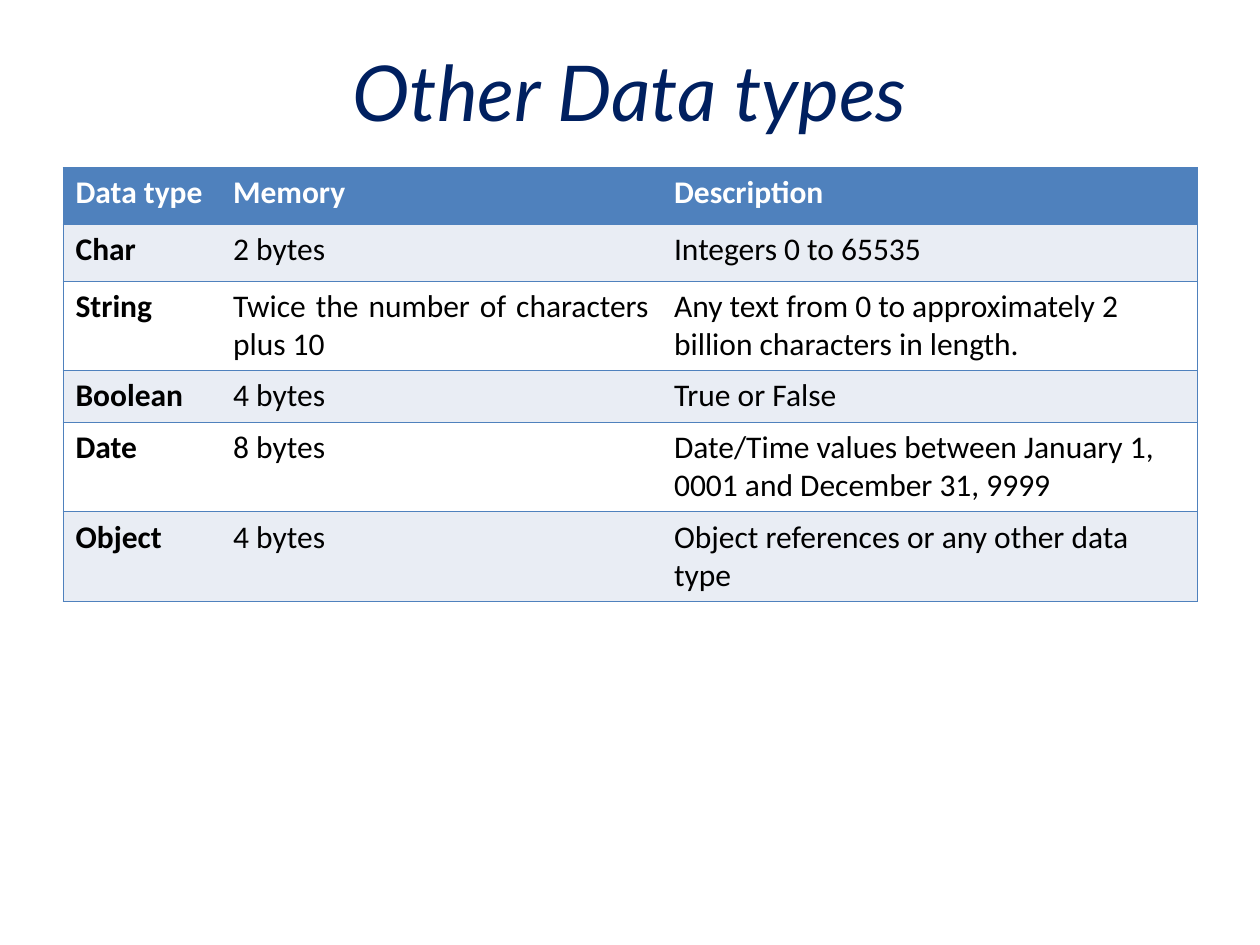
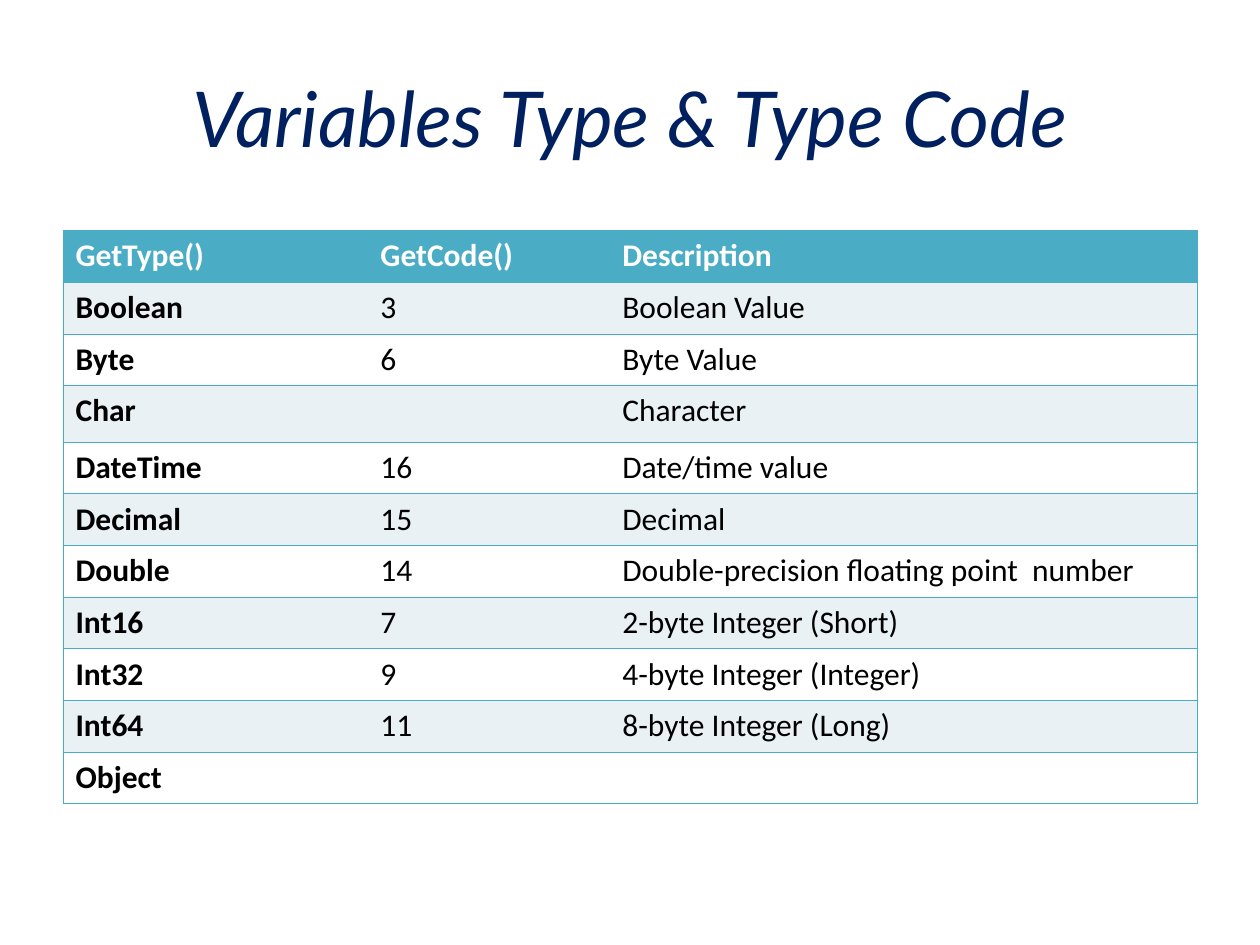
"""Build two slides that list data types and type codes in tables."""
from lxml import etree
from pptx import Presentation
from pptx.dml.color import RGBColor
from pptx.enum.text import MSO_ANCHOR, PP_ALIGN
from pptx.oxml.ns import qn
from pptx.util import Inches, Pt

TOP, MIDDLE = MSO_ANCHOR.TOP, MSO_ANCHOR.MIDDLE
LEFT, CENTER, JUSTIFY = PP_ALIGN.LEFT, PP_ALIGN.CENTER, PP_ALIGN.JUSTIFY
TITLE_ONLY = 5

COLORS = {
    "title": "002060",
    "header_text": "FFFFFF",
    "body_text": "000000",
    "plain_row": "FFFFFF",
    "blue": "4F81BD",
    "blue_band": "E9EDF4",
    "teal": "4BACC6",
    "teal_band": "E9F1F5",
}

SLIDE_WIDTH, SLIDE_HEIGHT = Inches(10), Inches(7.5)
MARGIN = int(SLIDE_WIDTH * 0.05)
CONTENT_WIDTH = SLIDE_WIDTH - 2 * MARGIN
TITLE_TOP, TITLE_HEIGHT = int(SLIDE_HEIGHT * 0.04), Inches(1.25)
BORDER_WIDTH = Pt(0.45)
SINGLE_ROW, TALL_ROW, DOUBLE_ROW = 0.41, 0.45, 0.7

DATA_TYPES = [
    ("Data type", "Memory", "Description"),
    ("Char", "2 bytes", "Integers 0 to 65535"),
    ("String", "Twice the number of characters plus 10",
     "Any text from 0 to approximately 2 billion characters in length."),
    ("Boolean", "4 bytes", "True or False"),
    ("Date", "8 bytes",
     "Date/Time values between January 1, 0001 and December 31, 9999"),
    ("Object", "4 bytes", "Object references or any other data type"),
]
DATA_TYPE_HEIGHTS = [TALL_ROW, TALL_ROW, DOUBLE_ROW, SINGLE_ROW, DOUBLE_ROW, DOUBLE_ROW]

TYPE_CODES = [
    ("GetType()", "GetCode()", "Description"),
    ("Boolean", "3", "Boolean Value"),
    ("Byte", "6", "Byte Value"),
    ("Char", "", "Character"),
    ("DateTime", "16", "Date/time value"),
    ("Decimal", "15", "Decimal"),
    ("Double", "14", "Double-precision floating point  number"),
    ("Int16", "7", "2-byte Integer (Short)"),
    ("Int32", "9", "4-byte Integer (Integer)"),
    ("Int64", "11", "8-byte Integer (Long)"),
    ("Object", "", ""),
]
TYPE_CODE_HEIGHTS = [TALL_ROW if row[0] == "Char" else SINGLE_ROW for row in TYPE_CODES]


def rgb(name):
    """Return the named palette colour."""
    return RGBColor.from_string(COLORS[name])


def write_text(frame, text, *, color, font="Calibri", size=18, bold=False,
               italic=False, align=LEFT):
    """Put one formatted paragraph into a text frame."""
    paragraph = frame.paragraphs[0]
    paragraph.alignment = align
    if not text:
        return
    run = paragraph.add_run()
    run.text = text
    run.font.name = font
    run.font.size = Pt(size)
    run.font.bold = bold
    run.font.italic = italic
    run.font.color.rgb = rgb(color)


def add_titled_slide(deck, title, anchor):
    """Add a slide and format its title placeholder."""
    slide = deck.slides.add_slide(deck.slide_layouts[TITLE_ONLY])
    heading = slide.shapes.title
    heading.left, heading.top = MARGIN, TITLE_TOP
    heading.width, heading.height = CONTENT_WIDTH, TITLE_HEIGHT
    heading.text_frame.vertical_anchor = anchor
    write_text(heading.text_frame, title, color="title", font="Lato", size=44,
               italic=True, align=CENTER)
    return slide


def set_borders(cell, accent, visible_sides):
    """Draw the visible sides of a cell and clear the others."""
    properties = cell._tc.get_or_add_tcPr()
    for side in "LRTB":
        line = etree.SubElement(properties, qn(f"a:ln{side}"), w=str(BORDER_WIDTH))
        if side in visible_sides:
            fill = etree.SubElement(line, qn("a:solidFill"))
            etree.SubElement(fill, qn("a:srgbClr"), val=COLORS[accent])
        else:
            etree.SubElement(line, qn("a:noFill"))


def add_type_table(slide, rows, *, top, widths, heights, accent, justified=()):
    """Add a banded table with a header row and bold first column."""
    last_column = len(widths) - 1
    table = slide.shapes.add_table(
        len(rows), len(widths), MARGIN, Inches(top), CONTENT_WIDTH, Inches(sum(heights))
    ).table
    for column, width in zip(table.columns, widths):
        column.width = int(CONTENT_WIDTH * width / sum(widths))
    for r, (values, height) in enumerate(zip(rows, heights)):
        table.rows[r].height = Inches(height)
        is_header = r == 0
        row_fill = accent if is_header else f"{accent}_band" if r % 2 else "plain_row"
        for c, value in enumerate(values):
            cell = table.cell(r, c)
            sides = "TB" + ("L" if c == 0 else "") + ("R" if c == last_column else "")
            set_borders(cell, accent, sides)
            cell.fill.solid()
            cell.fill.fore_color.rgb = rgb(row_fill)
            write_text(cell.text_frame, value, bold=is_header or c == 0,
                       color="header_text" if is_header else "body_text",
                       align=JUSTIFY if (r, c) in justified else LEFT)


def main():
    """Build and save the deck."""
    deck = Presentation()
    deck.slide_width, deck.slide_height = SLIDE_WIDTH, SLIDE_HEIGHT

    data_types = add_titled_slide(deck, "Other Data types", TOP)
    add_type_table(data_types, DATA_TYPES, top=1.33, widths=(1.25, 3.5, 4.25),
                   heights=DATA_TYPE_HEIGHTS, accent="blue", justified={(2, 1)})

    type_codes = add_titled_slide(deck, "Variables Type & Type Code", MIDDLE)
    add_type_table(type_codes, TYPE_CODES, top=1.83, widths=(2.42, 1.92, 4.66),
                   heights=TYPE_CODE_HEIGHTS, accent="teal")

    deck.save("out.pptx")


if __name__ == "__main__":
    main()
